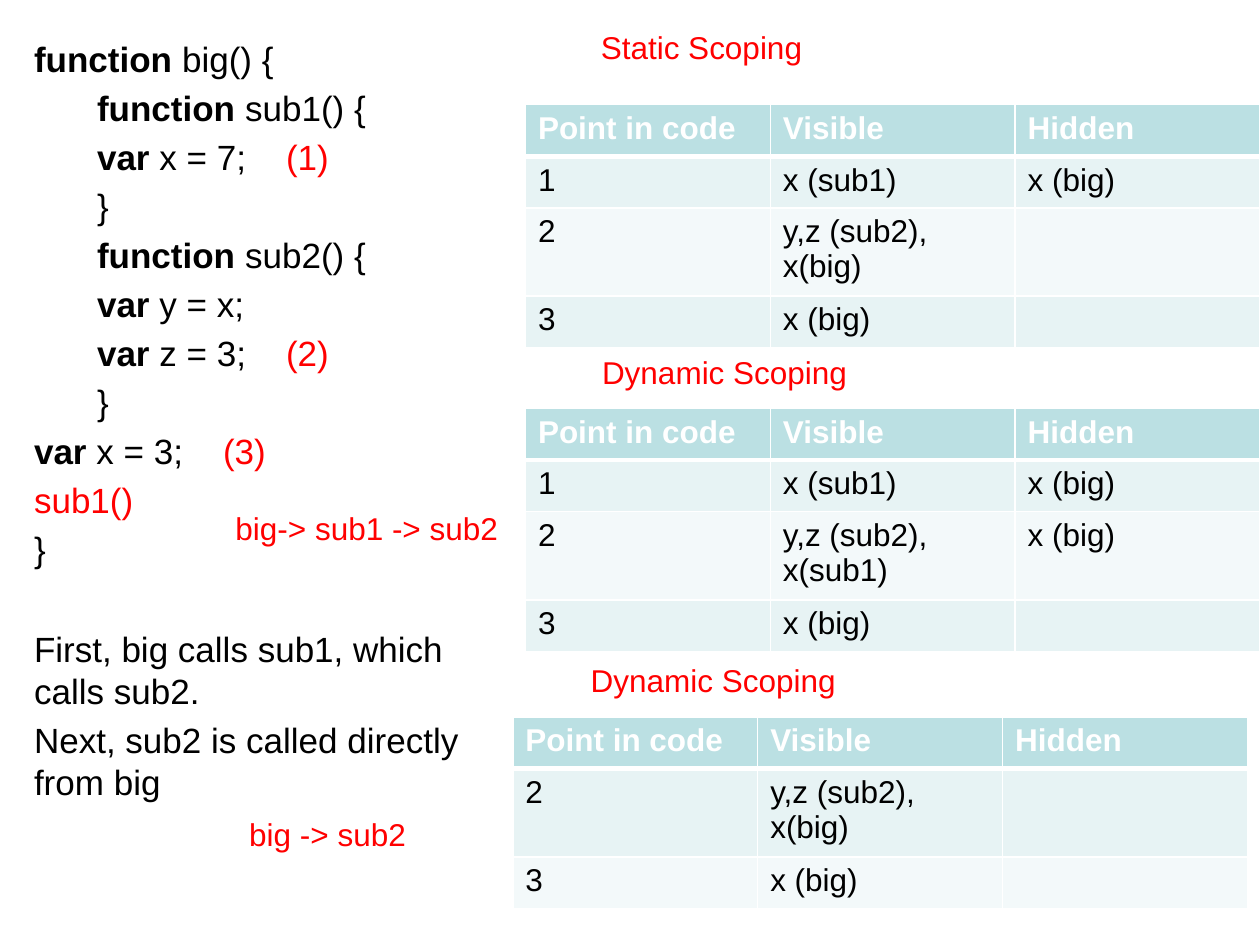
from lxml.etree import SubElement
from pptx import Presentation
from pptx.dml.color import RGBColor as RGB
from pptx.enum.text import MSO_ANCHOR as Anchor, MSO_AUTO_SIZE as AutoSize
from pptx.oxml.ns import qn
from pptx.util import Inches, Pt

BLACK = RGB(0x00, 0x00, 0x00)
WHITE = RGB(0xFF, 0xFF, 0xFF)
RED = RGB(0xFF, 0x00, 0x00)
HEADER_FILL = RGB(0xBB, 0xE0, 0xE3)
BAND_FILLS = (RGB(0xE7, 0xF3, 0xF4), RGB(0xF3, 0xF9, 0xFA))

CODE_STOPS = (1, 2.49)
CODE_LINES = [
    ("function ", "big() {", ""),
    ("\tfunction ", "sub1() {", ""),
    ("\tvar ", "x = 7;", "\t(1)"),
    ("", "\t}", ""),
    ("\tfunction ", "sub2() {", ""),
    ("\tvar ", "y = x;", ""),
    ("\tvar ", "z = 3;", "\t(2)"),
    ("", "\t}", ""),
    ("var ", "x = 3;", "\t(3)"),
    ("", "", "sub1()"),
    ("", "}", ""),
]
CALL_NOTES = [
    "First, big calls sub1, which calls sub2.",
    "Next, sub2 is called directly from big",
]

COLUMNS = ["Point in code", "Visible", "Hidden"]
STATIC_ROWS = [
    ["1", "x (sub1)", "x (big)"],
    ["2", "y,z (sub2), x(big)", ""],
    ["3", "x (big)", ""],
]
NESTED_CALL_ROWS = [
    ["1", "x (sub1)", "x (big)"],
    ["2", "y,z (sub2), x(sub1)", "x (big)"],
    ["3", "x (big)", ""],
]
DIRECT_CALL_ROWS = [
    ["2", "y,z (sub2), x(big)", ""],
    ["3", "x (big)", ""],
]
LABELS = [
    ("Static Scoping", (4.67, 0.17, 1.81, 0.4)),
    ("Dynamic Scoping", (4.68, 2.75, 2.17, 0.4)),
    ("big-> sub1 -> sub2", (1.77, 3.99, 2.31, 0.4)),
    ("big -> sub2", (1.88, 6.42, 1.46, 0.4)),
    ("Dynamic Scoping", (4.59, 5.2, 2.17, 0.4)),
]
TABLES = [
    (STATIC_ROWS, (4.17, 0.83, 5.83)),
    (NESTED_CALL_ROWS, (4.17, 3.24, 5.83)),
    (DIRECT_CALL_ROWS, (4.07, 5.69, 5.83)),
]
ROW_HEIGHT = 0.41


def add_run(paragraph, wording, color, size, bold=False):
    run = paragraph.add_run()
    run.text = wording
    run.font.color.rgb = color
    for name, value in {"name": "Arial", "size": Pt(size), "bold": bold}.items():
        setattr(run.font, name, value)


def set_flush_with_stops(paragraph):
    properties = paragraph._p.get_or_add_pPr()
    properties.set("marL", "0")
    properties.set("indent", "0")
    SubElement(properties, qn("a:buNone"))
    stops = SubElement(properties, qn("a:tabLst"))
    for position in CODE_STOPS:
        SubElement(stops, qn("a:tab"), pos=str(Inches(position)), algn="l")


def fill_code(body, box):
    for side, length in zip(("left", "top", "width", "height"), box):
        setattr(body, side, Inches(length))
    frame = body.text_frame
    layout = {"auto_size": AutoSize.NONE, "word_wrap": True,
              "vertical_anchor": Anchor.TOP}
    for name, value in layout.items():
        setattr(frame, name, value)
    lines = CODE_LINES + [("", note, "") for note in CALL_NOTES]
    for number, (keyword, code, mark) in enumerate(lines):
        paragraph = frame.add_paragraph() if number else frame.paragraphs[0]
        if number == len(CODE_LINES):
            paragraph.space_before = Pt(33)
        set_flush_with_stops(paragraph)
        for wording, color, bold in (
            (keyword, BLACK, True), (code, BLACK, False), (mark, RED, False)
        ):
            if wording:
                add_run(paragraph, wording, color, 20, bold)


def add_label(slide, wording, box):
    frame = slide.shapes.add_textbox(*map(Inches, box)).text_frame
    frame.word_wrap = False
    frame.auto_size = AutoSize.SHAPE_TO_FIT_TEXT
    add_run(frame.paragraphs[0], wording, RED, 18)


def set_borders(cell, widths):
    properties = cell._tc.get_or_add_tcPr()
    for position, (side, width) in enumerate(widths.items()):
        line = SubElement(properties, qn(f"a:{side}"), w=str(Pt(width)))
        fill = SubElement(line, qn("a:solidFill"))
        SubElement(fill, qn("a:srgbClr"), val=str(WHITE))
        properties.insert(position, line)


def add_scope_table(slide, rows, box):
    left, top, width = box
    lines = [COLUMNS] + rows
    table = slide.shapes.add_table(
        len(lines), len(COLUMNS), Inches(left), Inches(top),
        Inches(width), Inches(ROW_HEIGHT * len(lines)),
    ).table
    for r, line in enumerate(lines):
        header = r == 0
        for c, wording in enumerate(line):
            cell = table.cell(r, c)
            cell.fill.solid()
            cell.fill.fore_color.rgb = HEADER_FILL if header else BAND_FILLS[(r - 1) % 2]
            set_borders(cell, {"lnL": 1, "lnR": 1, "lnT": 3 if r == 1 else 1,
                               "lnB": 3 if header else 1})
            paragraph = cell.text_frame.paragraphs[0]
            if wording:
                add_run(paragraph, wording, WHITE if header else BLACK, 18, header)
            else:
                paragraph.font.size = Pt(18)


def main():
    deck = Presentation()
    deck.slide_width, deck.slide_height = Inches(10), Inches(7.5)
    slide = deck.slides.add_slide(deck.slide_layouts[1])
    title = slide.shapes.title._element
    title.getparent().remove(title)
    fill_code(slide.placeholders[1], (0.17, 0.25, 4, 4.08))
    for wording, box in LABELS:
        add_label(slide, wording, box)
    for rows, box in TABLES:
        add_scope_table(slide, rows, box)
    deck.save("out.pptx")


if __name__ == "__main__":
    main()
